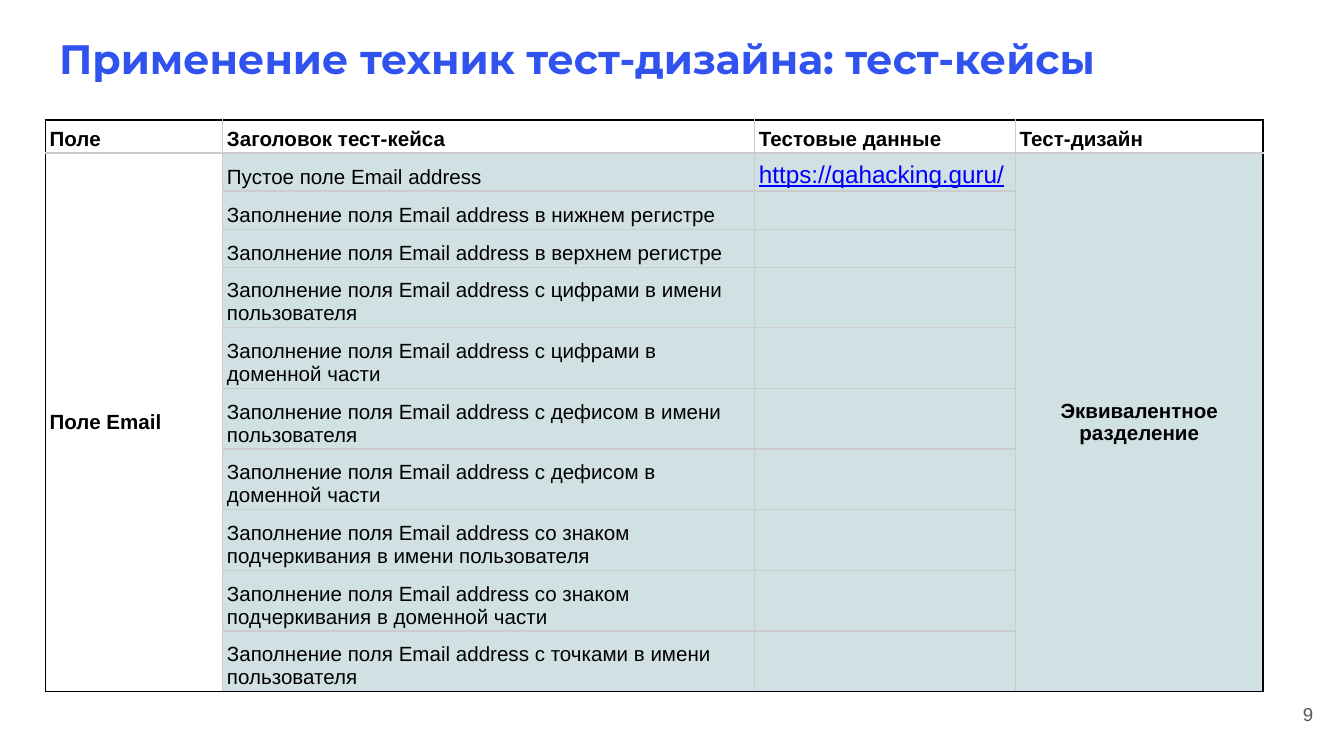
from lxml.etree import SubElement
from pptx import Presentation
from pptx.dml.color import RGBColor
from pptx.enum.text import MSO_ANCHOR as Anchor, MSO_AUTO_SIZE as AutoSize, PP_ALIGN as Align
from pptx.oxml.ns import qn
from pptx.util import Pt

BLUE = RGBColor(0x30, 0x52, 0xEF)
LINK_BLUE = RGBColor(0x00, 0x00, 0xFF)
BLACK = RGBColor(0x00, 0x00, 0x00)
GRAY = RGBColor(0x58, 0x58, 0x58)
LINE_GRAY = RGBColor(0xCC, 0xCC, 0xCC)
PALE_TEAL = RGBColor(0xD0, 0xE0, 0xE3)

TITLE_FONT = {"name": "Montserrat", "size": Pt(22), "bold": True}
NUMBER_FONT = {"name": "Arial", "size": Pt(10)}
CELL_FONT = {"name": "Arial", "size": Pt(11), "bold": False}
BOLD_FONT = {**CELL_FONT, "bold": True}
LINK_FONT = {**CELL_FONT, "size": Pt(13), "underline": True}
BOX_FRAME = {"margin_left": Pt(7.2), "margin_right": Pt(7.2), "margin_top": Pt(7.2),
             "margin_bottom": Pt(7.2), "word_wrap": True, "auto_size": AutoSize.NONE}
CELL_FRAME = {"margin_left": Pt(2.2), "margin_right": Pt(2.2),
              "margin_top": Pt(1.44), "margin_bottom": Pt(1.44)}

COLUMN_WIDTHS = [95, 285, 139.7, 132.5]
ROW_HEIGHTS = [17.7] + [20.4] * 3 + [32.5] * 7
HEADERS = ["Поле", "Заголовок тест-кейса", "Тестовые данные", "Тест-дизайн"]
FILLING = "Заполнение поля Email address "
CASES = ["Пустое поле Email address"] + [FILLING + ending for ending in (
    "в нижнем регистре",
    "в верхнем регистре",
    "с цифрами в имени пользователя",
    "с цифрами в доменной части",
    "с дефисом в имени пользователя",
    "с дефисом в доменной части",
    "со знаком подчеркивания в имени пользователя",
    "со знаком подчеркивания в доменной части",
    "с точками в имени пользователя",
)]


def set_values(target, values):
    """Set each attribute of the target from a dict."""
    for name, value in values.items():
        setattr(target, name, value)


def write_text(frame, text, font, color, align=Align.LEFT):
    """Write one formatted run into the first paragraph of a frame."""
    paragraph = frame.paragraphs[0]
    paragraph.alignment = align
    run = paragraph.add_run()
    run.text = text
    set_values(run.font, font)
    run.font.color.rgb = color


def fill_box(shape, place, text, font, color, **options):
    """Place a text shape and write its text."""
    set_values(shape, dict(zip(("left", "top", "width", "height"), map(Pt, place))))
    set_values(shape.text_frame, {**BOX_FRAME, "vertical_anchor": options.pop("anchor", Anchor.TOP)})
    write_text(shape.text_frame, text, font, color, **options)


def fill_cell(cell, text, font=CELL_FONT, color=BLACK, anchor=Anchor.BOTTOM, align=Align.LEFT):
    """Write a table cell, keeping an empty one at the text size."""
    cell.vertical_anchor = anchor
    if text:
        write_text(cell.text_frame, text, font, color, align)
    else:
        end = SubElement(cell.text_frame.paragraphs[0]._p, qn("a:endParaRPr"))
        end.set("sz", str(int(font["size"].pt * 100)))


def border_cell(cell, edges):
    """Draw the four cell borders, black where the cell meets the table edge."""
    properties = cell._tc.get_or_add_tcPr()
    for index, (side, outer) in enumerate(edges.items()):
        line = properties.makeelement(qn(f"a:{side}"), {"w": str(Pt(0.75))})
        solid = SubElement(line, qn("a:solidFill"))
        SubElement(solid, qn("a:srgbClr"), val=str(BLACK if outer else LINE_GRAY))
        properties.insert(index, line)


def style_cells(table):
    """Give every cell its margins, fill and borders."""
    last_row, last_column = len(ROW_HEIGHTS) - 1, len(COLUMN_WIDTHS) - 1
    for row in range(last_row + 1):
        for column in range(last_column + 1):
            cell = table.cell(row, column)
            set_values(cell, CELL_FRAME)
            if row and column:
                cell.fill.solid()
                cell.fill.fore_color.rgb = PALE_TEAL
            else:
                cell.fill.background()
            bottom_row = row + (cell.span_height if cell.is_merge_origin else 1) - 1
            border_cell(cell, {"lnL": column == 0, "lnR": column == last_column,
                               "lnT": row == 0, "lnB": bottom_row == last_row})


def add_case_table(slide):
    """Add the table of test cases."""
    shape = slide.shapes.add_table(len(ROW_HEIGHTS), len(COLUMN_WIDTHS), Pt(24.4), Pt(64.3),
                                   Pt(sum(COLUMN_WIDTHS)), Pt(sum(ROW_HEIGHTS)))
    table = shape.table
    set_values(table, {"first_row": False, "horz_banding": False})
    for column, width in zip(table.columns, COLUMN_WIDTHS):
        column.width = Pt(width)
    for row, height in zip(table.rows, ROW_HEIGHTS):
        row.height = Pt(height)
    for column in (0, 3):
        table.cell(1, column).merge(table.cell(len(CASES), column))
    for column, header in enumerate(HEADERS):
        fill_cell(table.cell(0, column), header, BOLD_FONT)
    fill_cell(table.cell(1, 0), "Поле Email", BOLD_FONT, anchor=Anchor.MIDDLE)
    fill_cell(table.cell(1, 3), "Эквивалентное разделение", BOLD_FONT,
              anchor=Anchor.MIDDLE, align=Align.CENTER)
    fill_cell(table.cell(1, 2), "https://qahacking.guru/", LINK_FONT, LINK_BLUE)
    for row, case in enumerate(CASES, start=1):
        fill_cell(table.cell(row, 1), case)
        if row > 1:
            fill_cell(table.cell(row, 2), "")
    style_cells(table)


def main():
    """Build the slide and save it."""
    presentation = Presentation()
    set_values(presentation, {"slide_width": Pt(720), "slide_height": Pt(405)})
    slide = presentation.slides.add_slide(presentation.slide_layouts[5])
    fill_box(slide.shapes.title, (24.5, 10.8, 671, 45.4),
             "Применение техник тест-дизайна: тест-кейсы", TITLE_FONT, BLUE)
    number = slide.shapes.add_textbox(0, 0, 0, 0)
    fill_box(number, (684, 370, 26.6, 25.2), "9", NUMBER_FONT, GRAY,
             anchor=Anchor.MIDDLE, align=Align.RIGHT)
    add_case_table(slide)
    presentation.save("out.pptx")


if __name__ == "__main__":
    main()
